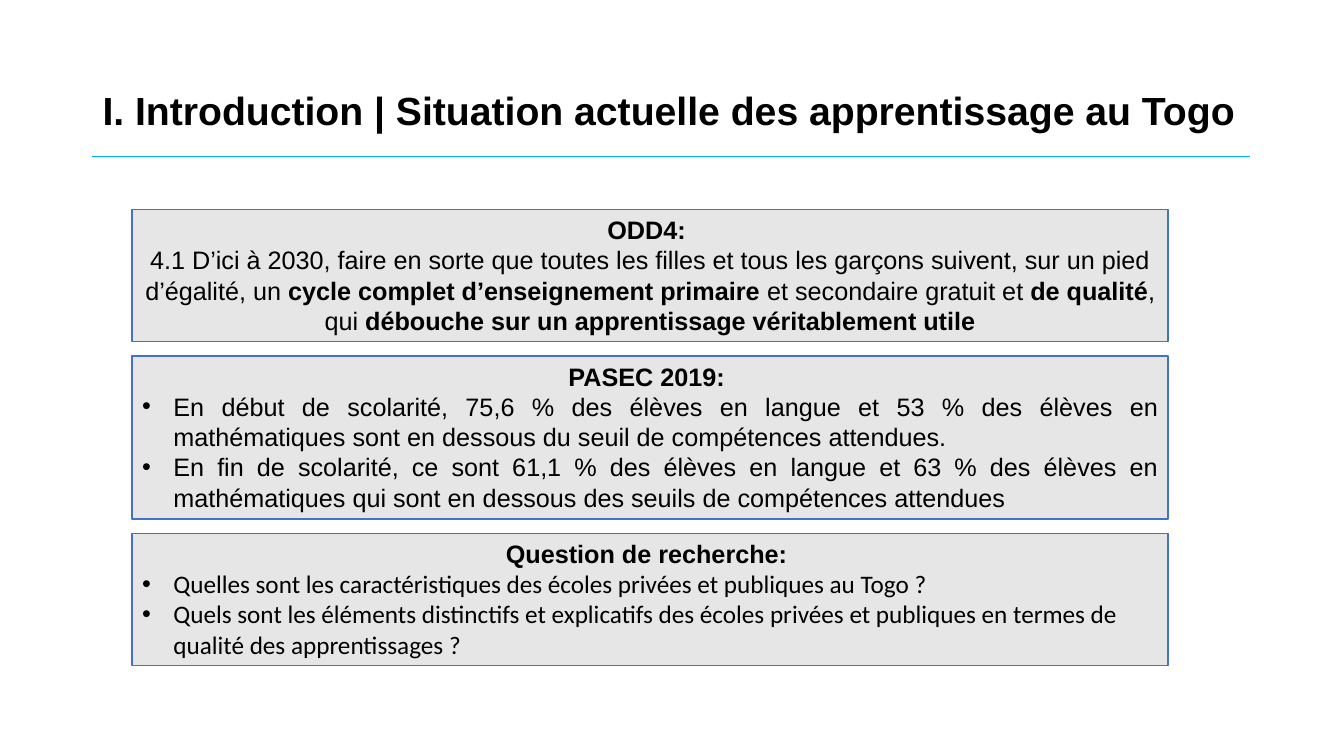
import pptx
import pptx.util
import pptx.dml.color
import pptx.enum.text
import pptx.enum.shapes
import pptx.oxml
import pptx.oxml.ns
from dataclasses import dataclass

Cm, Pt = pptx.util.Cm, pptx.util.Pt
RGB = pptx.dml.color.RGBColor.from_string
Align = pptx.enum.text.PP_ALIGN
Anchor = pptx.enum.text.MSO_ANCHOR
Fit = pptx.enum.text.MSO_AUTO_SIZE


@dataclass(frozen=True)
class Theme:
    ink: str = "000000"
    rule: str = "00AFF0"
    panel: str = "E7E6E6"
    edge: str = "4472C4"
    head: int = 28
    body: int = 18
    main: str = "Arial"
    plain: str = "Calibri"


def apply(target, values):
    for name, value in values.items():
        setattr(target, name, value)


class Page:
    def __init__(self, deck, theme):
        self.theme = theme
        self.slide = deck.slides.add_slide(deck.slide_layouts[5])

    def words(self, para, text, bold=False, size=None, font=None):
        run = para.add_run()
        run.text = text
        apply(run.font, {"name": font or self.theme.main, "bold": bold,
                         "size": Pt(size or self.theme.body)})
        run.font.color.rgb = RGB(self.theme.ink)

    def title(self, text, left, top, width, height):
        shape = self.slide.shapes.title
        apply(shape, {"left": Cm(left), "top": Cm(top),
                      "width": Cm(width), "height": Cm(height)})
        frame = shape.text_frame
        apply(frame, {"word_wrap": True, "auto_size": Fit.NONE,
                      "vertical_anchor": Anchor.MIDDLE})
        para = frame.paragraphs[0]
        apply(para, {"alignment": Align.LEFT, "line_spacing": 0.9})
        self.words(para, text, True, self.theme.head)

    def line(self, left, right, top):
        rule = self.slide.shapes.add_connector(
            pptx.enum.shapes.MSO_CONNECTOR.STRAIGHT,
            Cm(left), Cm(top), Cm(right), Cm(top))
        rule.line.color.rgb = RGB(self.theme.rule)
        rule.line.width = Pt(1)
        rule._element.spPr.append(pptx.oxml.parse_xml(
            f"<a:effectLst {pptx.oxml.ns.nsdecls('a')}/>"))

    def bullet(self, para):
        props = para._p.get_or_add_pPr()
        props.set("marL", str(Cm(0.79)))
        props.set("indent", str(-Cm(0.79)))
        space = pptx.oxml.ns.nsdecls("a")
        for tag in (f'<a:buFont {space} typeface="Arial"/>',
                    f'<a:buChar {space} char="•"/>'):
            props.append(pptx.oxml.parse_xml(tag))

    def panel(self, left, top, width, height, head, items,
              align, dots=True, font=None):
        shape = self.slide.shapes.add_shape(
            pptx.enum.shapes.MSO_SHAPE.RECTANGLE,
            Cm(left), Cm(top), Cm(width), Cm(height))
        shape.shadow.inherit = False
        shape.fill.solid()
        shape.fill.fore_color.rgb = RGB(self.theme.panel)
        shape.line.color.rgb = RGB(self.theme.edge)
        shape.line.width = Pt(1)
        frame = shape.text_frame
        apply(frame, {"word_wrap": True, "vertical_anchor": Anchor.TOP,
                      "auto_size": Fit.SHAPE_TO_FIT_TEXT})
        para = frame.paragraphs[0]
        para.alignment = Align.CENTER
        self.words(para, head, True)
        for parts in items:
            para = frame.add_paragraph()
            para.alignment = align
            if dots:
                self.bullet(para)
            for count, text in enumerate(parts):
                self.words(para, text, count % 2 == 1, font=font)


GOAL = [[
    "4.1 D’ici à 2030, faire en sorte que toutes les filles et tous les garçons "
    "suivent, sur un pied d’égalité, un ",
    "cycle complet d’enseignement primaire ",
    "et secondaire gratuit et ",
    "de qualité",
    ", qui ",
    "débouche sur un apprentissage véritablement utile",
]]
FACTS = [
    ["En début de scolarité, 75,6 % des élèves en langue et 53 % des élèves en "
     "mathématiques sont en dessous du seuil de compétences attendues. "],
    ["En fin de scolarité, ce sont 61,1 % des élèves en langue et 63 % des élèves en "
     "mathématiques qui sont en dessous des seuils de compétences attendues"],
]
ASKS = [
    ["Quelles sont les caractéristiques des écoles privées et publiques au Togo ?"],
    ["Quels sont les éléments distinctifs et explicatifs des écoles privées et "
     "publiques en termes de qualité des apprentissages ?"],
]


def main():
    theme = Theme()
    deck = pptx.Presentation()
    apply(deck, {"slide_width": Cm(33.87), "slide_height": Cm(19.05)})
    page = Page(deck, theme)
    page.title("I. Introduction | Situation actuelle des apprentissage au Togo",
               2.33, 1.01, 29.21, 3.68)
    page.line(2.33, 31.5, 3.94)
    panels = [
        (3.33, "ODD4: ", GOAL, {"align": Align.CENTER, "dots": False}),
        (4.11, "PASEC 2019: ", FACTS, {"align": Align.JUSTIFY}),
        (3.33, "Question de recherche: ", ASKS,
         {"align": Align.LEFT, "font": theme.plain}),
    ]
    top, gap = 5.28, 0.36
    for height, head, items, style in panels:
        page.panel(3.33, top, 26.11, height, head, items, **style)
        top += height + gap
    deck.save("out.pptx")


if __name__ == "__main__":
    main()
